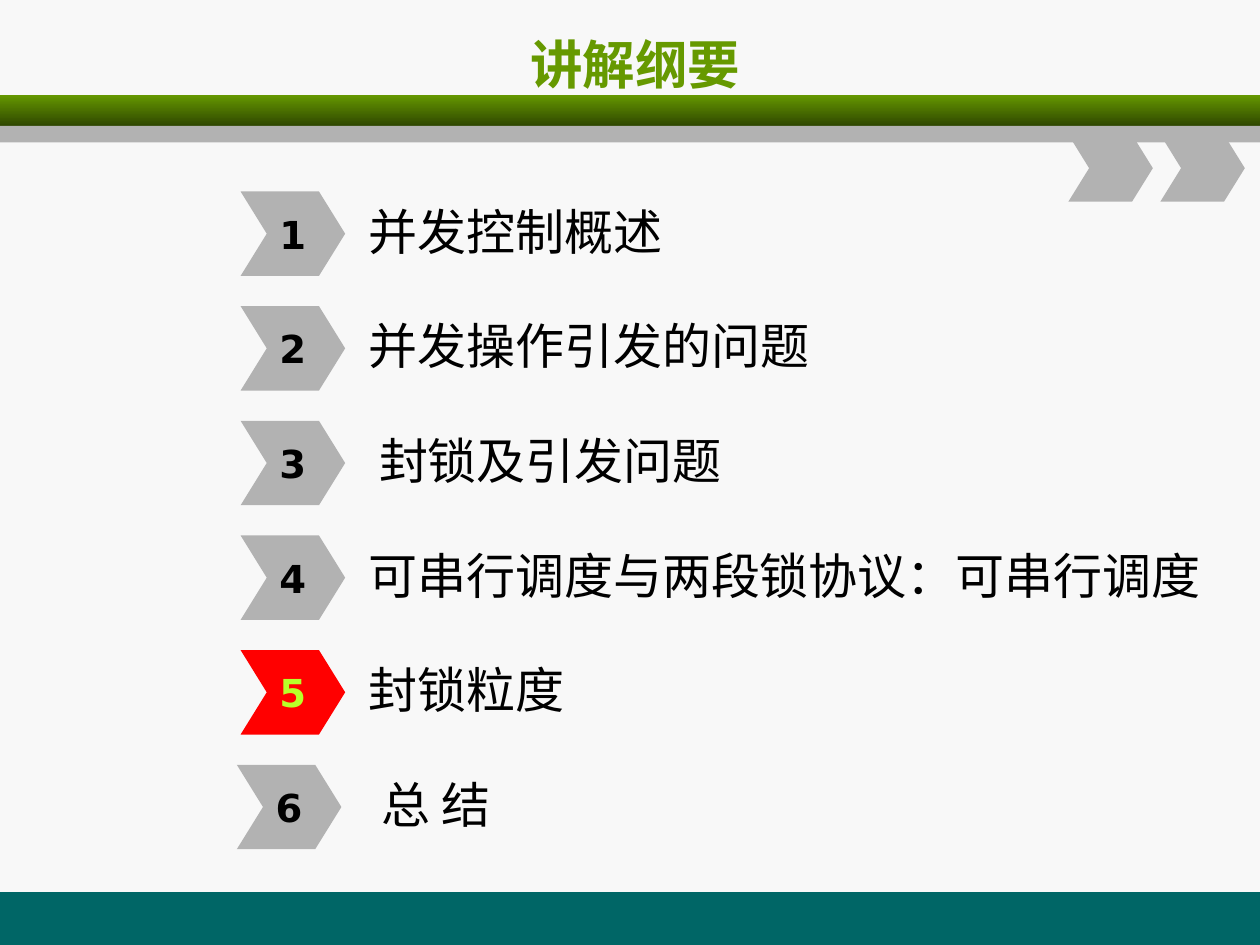
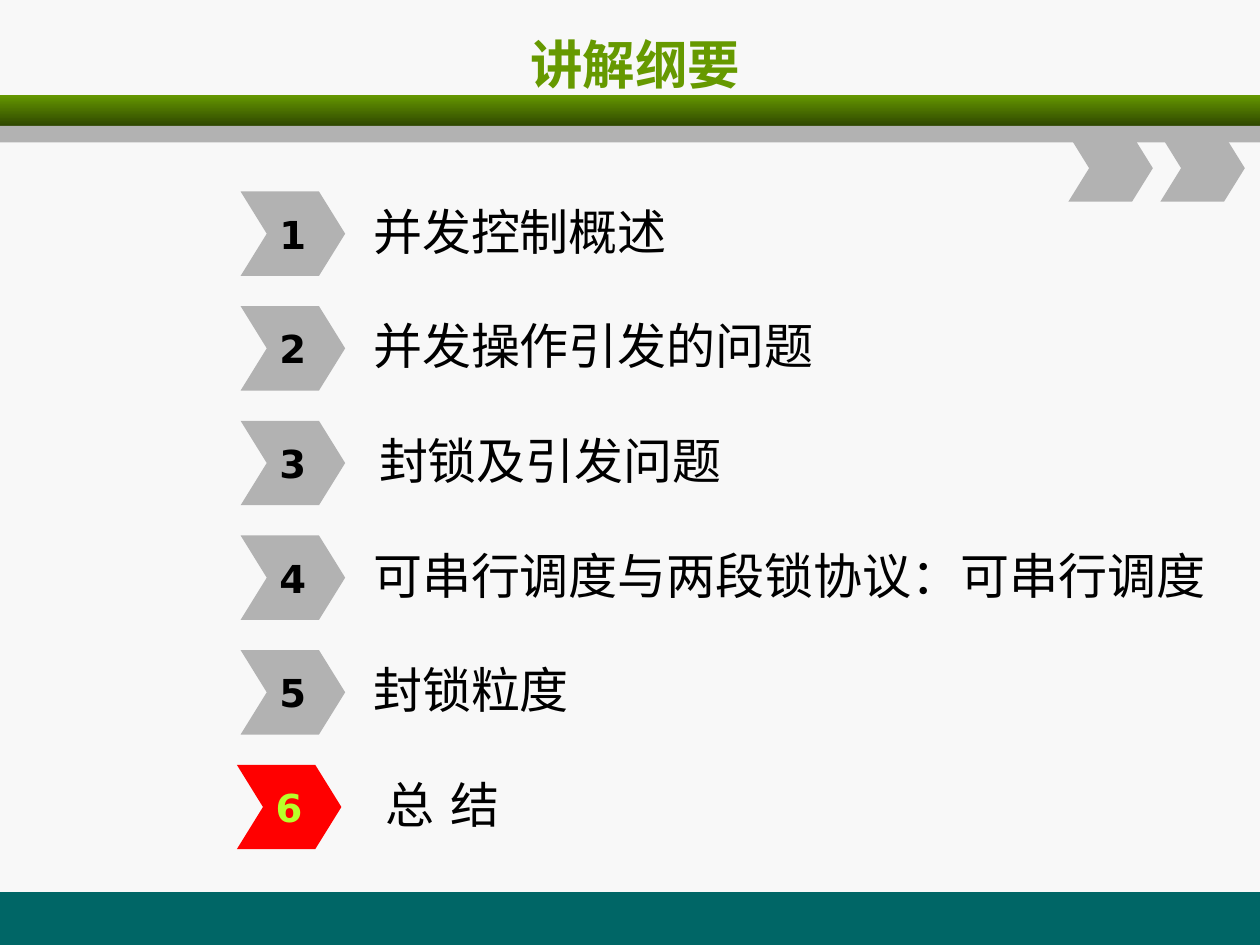
from pptx import Presentation
from pptx.dml.color import RGBColor
from pptx.enum.shapes import MSO_SHAPE
from pptx.enum.text import MSO_ANCHOR, PP_ALIGN
from pptx.util import Inches, Pt

RECTANGLE, CHEVRON = MSO_SHAPE.RECTANGLE, MSO_SHAPE.CHEVRON
MIDDLE = MSO_ANCHOR.MIDDLE
LEFT, CENTER = PP_ALIGN.LEFT, PP_ALIGN.CENTER

WIDTH, HEIGHT = 10, 7.5
PAPER, GREEN, DARK_GREEN, TEAL = "F8F8F8", "669900", "2F4700", "006666"
GRAY, RED, LIME, BLACK = "B2B2B2", "FF0000", "B8FF29", "000000"
SANS, CJK = "DejaVu Sans", "Noto Sans CJK SC"

TITLE = "讲解纲要"
FIRST_ROW, ROW_PITCH = 1.52, 0.91
MARKER_LEFT, LABEL_LEFT = 1.91, 2.74
TOPICS = [
    (" 并发控制概述", MARKER_LEFT, LABEL_LEFT, 5.92),
    (" 并发操作引发的问题", MARKER_LEFT, LABEL_LEFT, 5.92),
    ("封锁及引发问题", MARKER_LEFT, 2.91, 5.75),
    (" 可串行调度与两段锁协议：可串行调度", MARKER_LEFT, LABEL_LEFT, 6.9),
    (" 封锁粒度", MARKER_LEFT, LABEL_LEFT, 5.92),
    (" 总 结", 1.88, 2.84, 5.92),
]
AGENDAS = [(5, CJK), (6, SANS)]


def color(value):
    """Turn a hex string into a colour."""
    return RGBColor.from_string(value)


def write(shape, text, size, font=SANS, ink=BLACK, bold=False, align=LEFT, side=0.1):
    """Write one formatted, vertically centred line into a shape."""
    frame = shape.text_frame
    frame.word_wrap = True
    frame.vertical_anchor = MIDDLE
    frame.margin_left, frame.margin_right = Inches(side), 0
    paragraph = frame.paragraphs[0]
    paragraph.alignment = align
    run = paragraph.add_run()
    run.text = text
    run.font.name, run.font.size, run.font.bold = font, Pt(size), bold
    run.font.color.rgb = color(ink)
    east_asian = run.font._element.makeelement(
        "{http://schemas.openxmlformats.org/drawingml/2006/main}ea", {"typeface": font})
    run.font._element.append(east_asian)


def add_block(slide, kind, left, top, width, height, fill, notch=None):
    """Add a flat borderless shape in one colour."""
    block = slide.shapes.add_shape(
        kind, Inches(left), Inches(top), Inches(width), Inches(height))
    block.shadow.inherit = False
    block.line.fill.background()
    block.fill.solid()
    block.fill.fore_color.rgb = color(fill)
    if notch is not None:
        block.adjustments[0] = notch
    return block


def shade(block, start, end):
    """Fill a block with a gradient running from top to bottom."""
    block.fill.gradient()
    block.fill.gradient_angle = 270
    for stop, value in zip(block.fill.gradient_stops, (start, end)):
        stop.color.rgb = color(value)


def decorate_layout(layout, slide):
    """Draw the shared bands and chevrons and move them to the layout."""
    footer = add_block(slide, RECTANGLE, 0, 7.08, WIDTH, HEIGHT - 7.08, TEAL)
    band = add_block(slide, RECTANGLE, 0, 0.75, WIDTH, 0.25, GREEN)
    shade(band, GREEN, DARK_GREEN)
    rule = add_block(slide, RECTANGLE, 0, 1, WIDTH, 0.13, GRAY)
    arrows = [add_block(slide, CHEVRON, left, 1.07, 0.67, 0.53, GRAY, 0.31)
              for left in (8.48, 9.21)]
    for number, part in enumerate([footer, band, rule, *arrows], 101):
        part.element.nvSpPr.cNvPr.id = number
        layout.shapes.element.append(part.element)


def set_title(slide):
    """Place and format the slide title."""
    title = slide.shapes.title
    title.left, title.top = Inches(0.54), Inches(0.17)
    title.width, title.height = Inches(9), Inches(0.67)
    write(title, TITLE, 30, ink=GREEN, bold=True, align=CENTER, side=0)


def add_topic(slide, number, topic, font, active):
    """Add one agenda row with its numbered chevron and label."""
    text, marker_left, label_left, width = topic
    top = FIRST_ROW + (number - 1) * ROW_PITCH
    label = slide.shapes.add_textbox(
        Inches(label_left), Inches(top + 0.02), Inches(width), Inches(0.58))
    write(label, text, 28, font=font)
    marker = add_block(slide, CHEVRON, marker_left, top, 0.83, 0.67,
                       RED if active else GRAY, 0.31)
    write(marker, str(number), 22, ink=LIME if active else BLACK,
          bold=True, align=CENTER, side=0)


def main():
    """Build the agenda slides and save them."""
    deck = Presentation()
    deck.slide_width, deck.slide_height = Inches(WIDTH), Inches(HEIGHT)
    background = deck.slide_master.background.fill
    background.solid()
    background.fore_color.rgb = color(PAPER)
    layout = deck.slide_layouts[5]
    slides = [deck.slides.add_slide(layout) for _ in AGENDAS]
    decorate_layout(layout, slides[0])
    for slide, (current, font) in zip(slides, AGENDAS):
        set_title(slide)
        for number, topic in enumerate(TOPICS, 1):
            add_topic(slide, number, topic, font, number == current)
    deck.save("out.pptx")


main()
